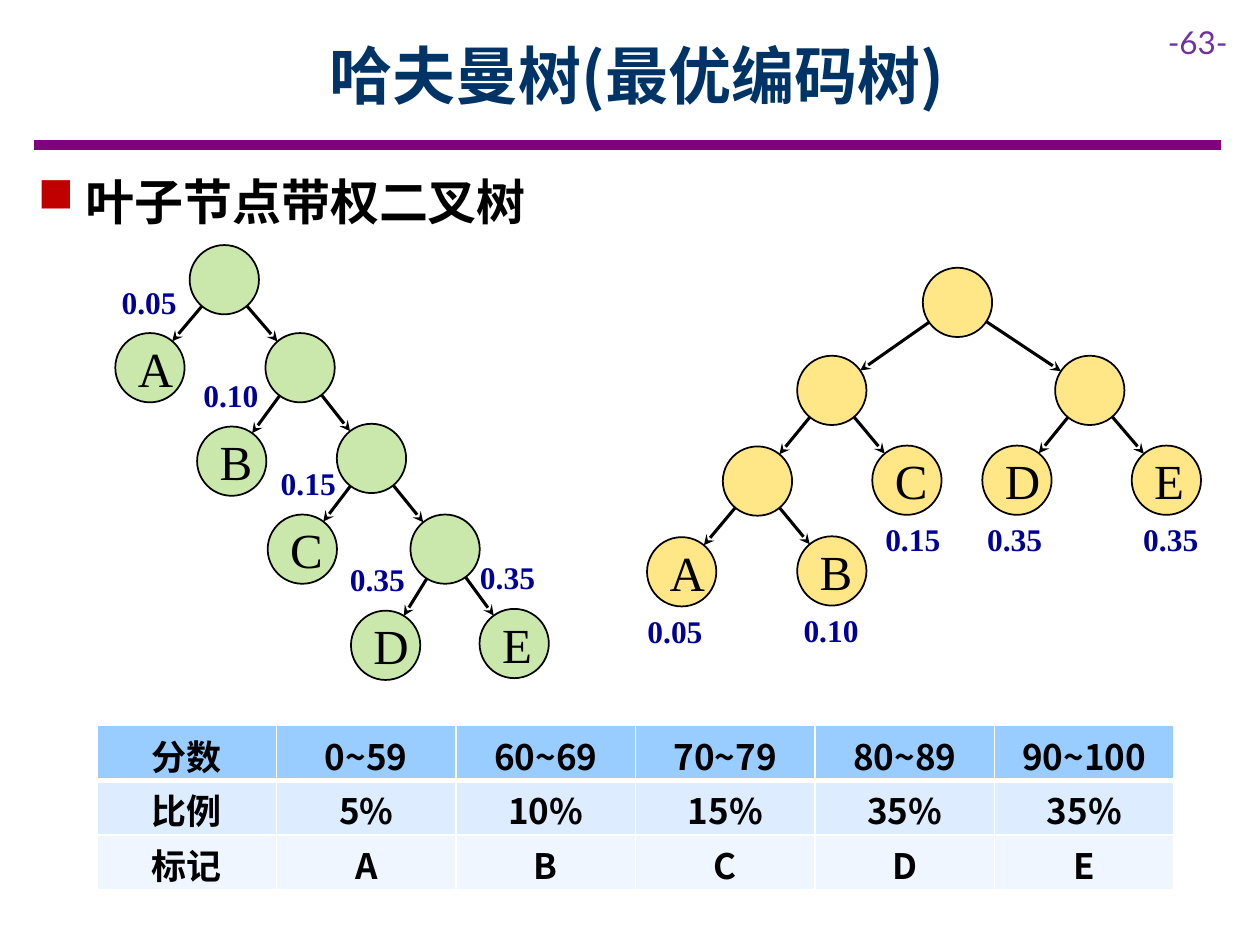
from math import hypot

from lxml import etree
from pptx import Presentation
from pptx.dml.color import RGBColor
from pptx.enum.shapes import MSO_CONNECTOR, MSO_SHAPE
from pptx.enum.text import MSO_ANCHOR, PP_ALIGN
from pptx.oxml.ns import qn
from pptx.util import Inches, Pt

CENTER, LEFT = PP_ALIGN.CENTER, PP_ALIGN.LEFT
MIDDLE, TOP = MSO_ANCHOR.MIDDLE, MSO_ANCHOR.TOP
LINE, OVAL = MSO_CONNECTOR.STRAIGHT, MSO_SHAPE.OVAL
CJK, SERIF, SANS = "Noto Sans CJK SC", "Times New Roman", "Lato"
HUES = {"rule": "800080", "page": "7030A0", "title": "003366", "mark": "C00000",
        "ink": "000000", "weight": "000099", "green": "92D050", "gold": "FFCC00",
        "head": "99CCFF", "odd": "DEECFF", "even": "EFF6FF", "white": "FFFFFF"}

COL, ROW = 0.59, 0.72   # tree grid, in inches
SIZE = 0.55             # node diameter
# key: (parent, column, row)
DEEP = {"n0": (None, 1, 0), "A": ("n0", 0, 0.97), "n1": ("n0", 2.02, 0.97),
        "B": ("n1", 1.1, 2), "n2": ("n1", 2.98, 1.97), "C": ("n2", 2.05, 2.97),
        "n3": ("n2", 3.97, 2.97), "D": ("n3", 3.17, 4.03), "E": ("n3", 4.9, 4.01)}
FLAT = {"n0": (None, 3.71, 0), "n1": ("n0", 2.02, 0.97), "n2": ("n0", 5.49, 0.97),
        "n3": ("n1", 1.02, 1.97), "C": ("n1", 3.03, 1.96), "D": ("n2", 4.51, 1.96),
        "E": ("n2", 6.52, 1.96), "A": ("n3", 0, 2.97), "B": ("n3", 2.02, 2.96)}
# leaf: (weight, column shift of its label in each tree)
WEIGHTS = {"A": ("0.05", -0.01, -0.09), "B": ("0.10", -0.01, -0.01),
           "C": ("0.15", 0.08, 0.08), "D": ("0.35", -0.11, -0.03),
           "E": ("0.35", -0.09, 0.06)}
GRADES = [["分数", "0~59", "60~69", "70~79", "80~89", "90~100"],
          ["比例", "5%", "10%", "15%", "35%", "35%"],
          ["标记", "A", "B", "C", "D", "E"]]


def rgb(name):
    return RGBColor.from_string(HUES[name])


def style(frame, font, size, hue, bold=False, align=CENTER):
    para = frame.paragraphs[0]
    para.alignment = align
    for run in para.runs:
        run.font.name, run.font.size, run.font.bold = font, Pt(size), bold
        run.font.color.rgb = rgb(hue)
        latin = run._r.rPr.find(qn("a:latin"))
        asian = etree.Element(qn("a:ea"), typeface=font)
        latin.addnext(asian)


def add_text(slide, box, text, *look, anchor=MIDDLE, wrap=True, align=CENTER):
    frame = slide.shapes.add_textbox(*map(Inches, box)).text_frame
    frame.text, frame.word_wrap, frame.vertical_anchor = text, wrap, anchor
    style(frame, *look, align=align)
    return frame


def add_line(slide, start, end, hue, width, arrow=False):
    line = slide.shapes.add_connector(LINE, *map(Inches, (*start, *end)))
    line.line.color.rgb, line.line.width = rgb(hue), Pt(width)
    if arrow:
        etree.SubElement(line.line._get_or_add_ln(), qn("a:tailEnd"), type="stealth")
    etree.SubElement(line._element.spPr, qn("a:effectLst"))


def add_node(slide, spot, text, hue):
    x, y = spot
    node = slide.shapes.add_shape(
        OVAL, *map(Inches, (x - SIZE / 2, y - SIZE / 2, SIZE, SIZE)))
    node.shadow.inherit = False
    node.fill.solid()
    node.fill.fore_color.rgb = rgb(hue)
    tint = node._element.spPr.find(qn("a:solidFill"))[0]
    etree.SubElement(tint, qn("a:alpha"), val="47000")
    node.line.color.rgb, node.line.width = rgb("ink"), Pt(1)
    if text:
        frame = node.text_frame
        frame.margin_left = frame.margin_right = Inches(0.1)
        frame.margin_top = frame.margin_bottom = Inches(0.1)
        frame.text, frame.vertical_anchor = text, MIDDLE
        style(frame, SERIF, 28, "ink")


def add_edge(slide, top, low):
    """Draw an arrow from the rim of one node to the rim of the other."""
    (x, y), (u, v) = top, low
    part = SIZE / 2 / hypot(u - x, v - y)
    dx, dy = (u - x) * part, (v - y) * part
    add_line(slide, (x + dx, y + dy), (u - dx, v - dy), "ink", 1.75, arrow=True)


def add_tree(slide, x, y, nodes, hue, side, rise):
    """Place a tree by grid; side picks the label shift, rise its rows."""
    spots = {key: (x + col * COL, y + row * ROW)
             for key, (_, col, row) in nodes.items()}
    for key, (top, _, _) in nodes.items():
        leaf = key in WEIGHTS
        add_node(slide, spots[key], key if leaf else "", hue)
        if top:
            add_edge(slide, spots[top], spots[key])
        if leaf:
            left = spots[key][0] + WEIGHTS[key][side] * COL - 0.32
            head = spots[key][1] + rise * ROW - 0.2
            add_text(slide, (left, head, 0.64, 0.4), WEIGHTS[key][0],
                     SERIF, 18, "weight", True, wrap=False)


def add_edges(cell, base):
    """Give a cell white borders, with the bottom one base points wide."""
    props = cell._tc.get_or_add_tcPr()
    for spot, (tag, width) in enumerate(
            (("lnL", 1), ("lnR", 1), ("lnT", 1), ("lnB", base))):
        line = etree.Element(qn("a:" + tag), w=str(Pt(width)))
        fill = etree.SubElement(line, qn("a:solidFill"))
        etree.SubElement(fill, qn("a:srgbClr"), val=HUES["white"])
        props.insert(spot, line)


def add_grades(slide, box):
    table = slide.shapes.add_table(
        len(GRADES), len(GRADES[0]), *map(Inches, box)).table
    for r, (texts, hue) in enumerate(zip(GRADES, ("head", "odd", "even"))):
        for c, text in enumerate(texts):
            cell = table.cell(r, c)
            cell.text = text
            cell.margin_top, cell.margin_bottom = Inches(0.03), 0
            cell.fill.solid()
            cell.fill.fore_color.rgb = rgb(hue)
            add_edges(cell, 1 if r else 3)
            style(cell.text_frame, CJK, 20, "ink", True)


def add_head(slide, wide):
    add_line(slide, (0.027 * wide, 1.15), (0.969 * wide, 1.15), "rule", 6)
    add_text(slide, (0.917 * wide, 0.13, 0.83, 0.4), "-63-", SANS, 18, "page",
             anchor=TOP, align=LEFT)
    add_text(slide, (0.09 * wide, 0.09, 8.31, 1), "哈夫曼树(最优编码树)",
             CJK, 36, "title", True)


def add_point(slide, box):
    frame = add_text(slide, box, "叶子节点带权二叉树", CJK, 28, "ink", True,
                     anchor=TOP, align=LEFT)
    para = frame.paragraphs[0]
    para.space_after = Pt(6)
    props = para._p.get_or_add_pPr()
    props.set("marL", str(Inches(0.38)))
    props.set("indent", str(-Inches(0.38)))
    tint = etree.SubElement(props, qn("a:buClr"))
    etree.SubElement(tint, qn("a:srgbClr"), val=HUES["mark"])
    etree.SubElement(props, qn("a:buChar"), char="■")


def main():
    deck = Presentation()
    deck.slide_width, deck.slide_height = Inches(10), Inches(7.5)
    slide = deck.slides.add_slide(deck.slide_layouts[6])
    add_head(slide, 10)
    add_point(slide, (0.2, 1.31, 4.75, 0.57))
    add_grades(slide, (0.77, 5.76, 8.55, 1.3))
    add_tree(slide, 1.19, 2.22, DEEP, "green", 1, -0.73)
    add_tree(slide, 5.41, 2.4, FLAT, "gold", 2, 0.65)
    deck.save("out.pptx")


if __name__ == "__main__":
    main()
